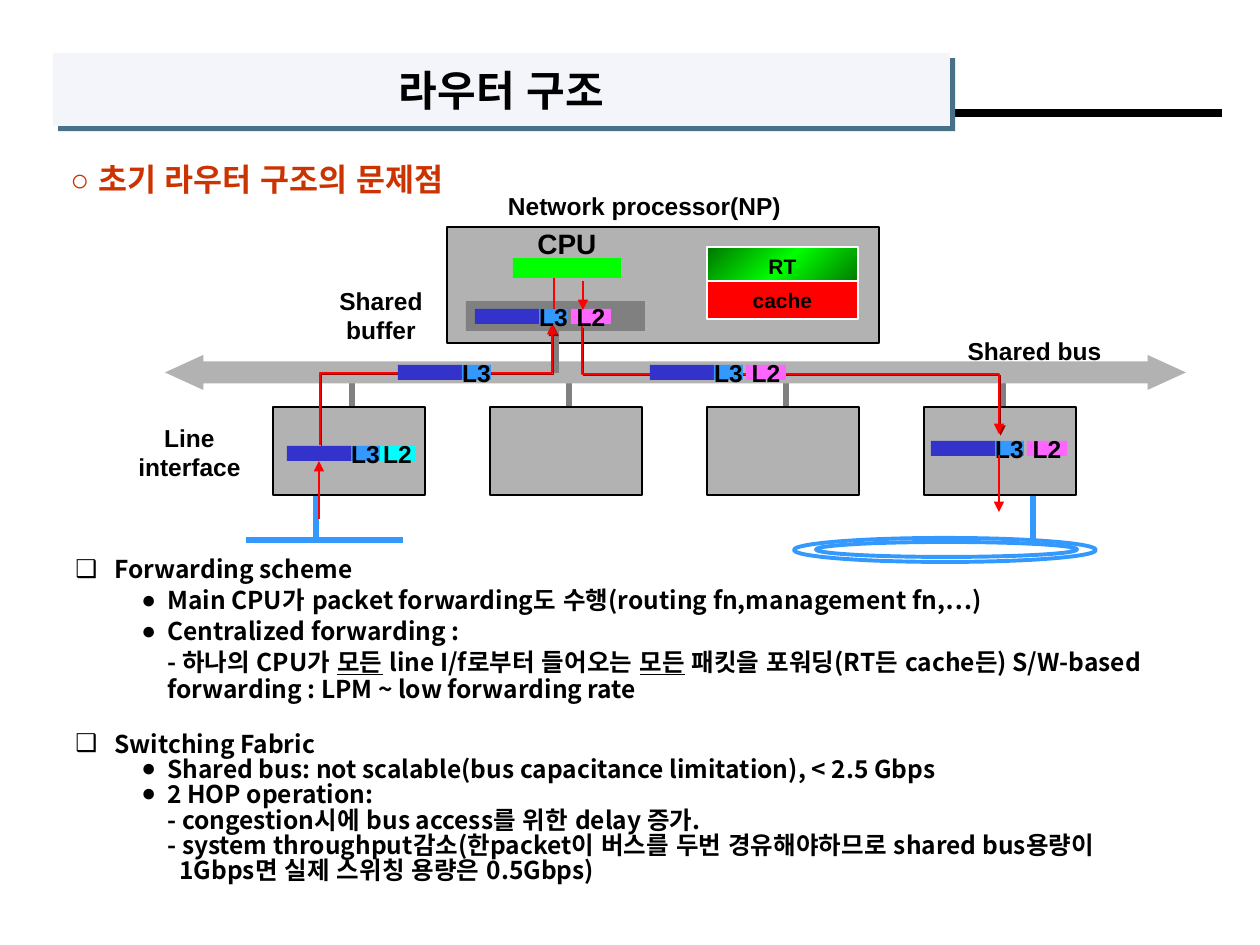
"""Build the slide on the problems of early router structures."""
from copy import deepcopy

from lxml import etree
from pptx import Presentation
from pptx import util as u
from pptx.dml.color import RGBColor
from pptx.enum import shapes, text
from pptx.oxml.ns import qn

SCALE = 914400 / 126
LATIN, KOREAN = "Arial", "Noto Sans CJK KR"
BLACK = RGBColor(0x00, 0x00, 0x00)
WHITE = RGBColor(0xFF, 0xFF, 0xFF)
PALE = RGBColor(0xF3, 0xF5, 0xFB)
RUST = RGBColor(0xCC, 0x33, 0x00)
GRAY = RGBColor(0xB2, 0xB2, 0xB2)
DARK_GRAY = RGBColor(0x80, 0x80, 0x80)
GREEN = RGBColor(0x00, 0xFF, 0x00)
DARK_GREEN = RGBColor(0x00, 0x75, 0x00)
RED = RGBColor(0xFF, 0x00, 0x00)
MAROON = RGBColor(0x98, 0x00, 0x00)
TEAL = RGBColor(0x46, 0x71, 0x86)
BLUE = RGBColor(0x33, 0x99, 0xFF)
NAVY = RGBColor(0x33, 0x33, 0xCC)
PINK = RGBColor(0xFF, 0x66, 0xFF)
CYAN = RGBColor(0x00, 0xFF, 0xFF)
RECT = shapes.MSO_SHAPE.RECTANGLE

FORWARDING = [
    ("❑", 0, ["Forwarding scheme"]),
    ("●", 92, ["Main CPU가 packet forwarding도 수행(routing fn,management fn,…)"]),
    ("●", 92, ["Centralized forwarding :"]),
    ("", 92, ["- 하나의 CPU가 ", "모든", " line I/f로부터 들어오는 ", "모든",
              " 패킷을 포워딩(RT든 cache든) S/W-based forwarding : LPM ~ low forwarding rate"]),
]
SWITCHING = [
    ("❑", 0, ["Switching Fabric"]),
    ("●", 92, ["Shared bus: not scalable(bus capacitance limitation), < 2.5 Gbps"]),
    ("●", 92, ["2 HOP operation:"]),
    ("", 92, ["- congestion시에 bus access를 위한 delay 증가."]),
    ("", 92, ["- system throughput감소(한packet이 버스를 두번 경유해야하므로 shared bus용량이"]),
    ("", 104, ["1Gbps면 실제 스위칭 용량은 0.5Gbps)"]),
]


def px(*values):
    """Turn pixel lengths into EMU."""
    return [u.Emu(round(v * SCALE)) for v in values]


def sub(parent, tag, **attrs):
    """Append a DrawingML element and return it."""
    return etree.SubElement(parent, qn(tag), {k: str(v) for k, v in attrs.items()})


def add_run(p, words, size, font=LATIN, color=BLACK, underline=None):
    """Add one bold run to a paragraph."""
    r = p.add_run()
    r.text = words
    r.font.size, r.font.bold, r.font.underline = u.Pt(size), True, underline
    r.font.color.rgb = color
    r.font.name = font
    sub(r._r.get_or_add_rPr(), "a:ea", typeface=LATIN)


def write(sp, lines, size, wrap=False, spacing=None):
    """Write centred lines in the middle of a shape."""
    tf = sp.text_frame
    tf.word_wrap = wrap
    tf.vertical_anchor = text.MSO_ANCHOR.MIDDLE
    for i, line in enumerate(lines):
        p = tf.add_paragraph() if i else tf.paragraphs[0]
        p.alignment = text.PP_ALIGN.CENTER
        p.line_spacing = spacing
        add_run(p, line, size)


def add_block(s, x, y, w, h, fill=None, line=None, weight=0.75, kind=RECT):
    """Add a preset shape with an optional fill and outline."""
    sp = s.shapes.add_shape(kind, *px(x, y, w, h))
    sp.shadow.inherit = False
    if fill is None:
        sp.fill.background()
    else:
        sp.fill.solid()
        sp.fill.fore_color.rgb = fill
    if line is None:
        sp.line.fill.background()
    else:
        sp.line.color.rgb = line
        sp.line.width = u.Pt(weight)
    return sp


def add_shadow(sp, color, distance):
    """Give a shape a sharp shadow to the lower right."""
    effects = sp._element.spPr.find(qn("a:effectLst"))
    shadow = sub(effects, "a:outerShdw", blurRad=0, dist=u.Pt(distance),
                 dir=2700000, algn="ctr", rotWithShape=0)
    sub(shadow, "a:srgbClr", val=color)


def add_label(s, x, y, w, h, lines, size=14, spacing=None):
    """Add a centred diagram label that fits its text."""
    sp = s.shapes.add_textbox(*px(x, y, w, h))
    tf = sp.text_frame
    tf.auto_size = text.MSO_AUTO_SIZE.SHAPE_TO_FIT_TEXT
    tf.margin_left = tf.margin_right = 0
    write(sp, lines, size, spacing=spacing)


def add_line(s, x1, y1, x2, y2, color, weight, arrow=False):
    """Add a straight line, with an arrowhead at its end if asked."""
    c = s.shapes.add_connector(shapes.MSO_CONNECTOR.STRAIGHT, *px(x1, y1, x2, y2))
    c.line.color.rgb = color
    c.line.width = u.Pt(weight)
    if arrow:
        sub(c.line._get_or_add_ln(), "a:tailEnd", type="triangle")
    sub(c._element.spPr, "a:effectLst")
    return c


def add_route(s, start, *points):
    """Add a bent red arrow with a shadow."""
    builder = s.shapes.build_freeform(*start, scale=SCALE)
    builder.add_line_segments(points, close=False)
    sp = builder.convert_to_shape()
    sp.shadow.inherit = False
    sp.fill.background()
    sp.line.color.rgb = RED
    sp.line.width = u.Pt(0.75)
    sub(sp.line._get_or_add_ln(), "a:tailEnd", type="triangle")
    add_shadow(sp, MAROON, 1.4)


def add_packet(s, x, y, l2=PINK, l2_dx=96, l2_w=40):
    """Add a packet with L3 and optional L2 headers; return its payload."""
    payload = add_block(s, x, y, 64, 15, NAVY)
    write(add_block(s, x + 64, y, 29, 15, BLUE), ["L3"], 14)
    if l2 is not None:
        write(add_block(s, x + l2_dx, y, l2_w, 15, l2), ["L2"], 14)
    return payload


def add_outline(s, y, h, items, spacing):
    """Add a bulleted outline; every second run is underlined."""
    tf = s.shapes.add_textbox(*px(63, y, 1134, h)).text_frame
    tf.word_wrap = True
    for i, (bullet, margin, runs) in enumerate(items):
        p = tf.add_paragraph() if i else tf.paragraphs[0]
        p.line_spacing = spacing
        p.space_before = u.Pt(2.6 if i else 0)
        p.level = 1 if margin else 0
        hang = 0 if not bullet else 26 if margin else 39
        left, indent = px(margin or hang, -hang)
        ppr = p._p.get_or_add_pPr()
        ppr.set("marL", str(left))
        ppr.set("indent", str(indent))
        if bullet:
            sub(sub(ppr, "a:buClr"), "a:srgbClr", val=BLACK)
            sub(ppr, "a:buFont", typeface=LATIN)
            sub(ppr, "a:buChar", char=bullet)
        else:
            sub(ppr, "a:buNone")
        for j, words in enumerate(runs):
            add_run(p, words, 14, KOREAN, underline=True if j % 2 else None)


def add_heading(s):
    """Add the title bar and the section heading."""
    add_line(s, 58, 113, 1222, 113, BLACK, 4.5)
    title = add_block(s, 53, 53, 897, 73, PALE)
    add_shadow(title, TEAL, 4.2)
    write(title, ["라우터 구조"], 24, wrap=True)
    tf = s.shapes.add_textbox(*px(58, 154, 411, 50)).text_frame
    tf.word_wrap = False
    tf.auto_size = text.MSO_AUTO_SIZE.SHAPE_TO_FIT_TEXT
    add_run(tf.paragraphs[0], "○ 초기 라우터 구조의 문제점", 18, KOREAN, RUST)


def add_processor(s):
    """Add the network processor with its CPU, buffer and tables."""
    add_block(s, 447, 227, 432, 116, GRAY, BLACK)
    add_block(s, 513, 258, 108, 20, GREEN)
    table = add_block(s, 707, 247, 151, 38, GREEN, WHITE)
    table.fill.gradient()
    table.fill.gradient_angle = 315
    for stop in table.fill.gradient_stops:
        stop.color.rgb = DARK_GREEN
    stops = table._element.spPr.find(".//" + qn("a:gsLst"))
    middle = deepcopy(stops[0])
    middle.set("pos", "50000")
    stops.insert(1, middle)
    table.fill.gradient_stops[1].color.rgb = GREEN
    write(table, ["RT"], 12, wrap=True)
    write(add_block(s, 707, 281, 151, 38, RED, WHITE), ["cache"], 12, wrap=True)
    add_label(s, 525, 229, 84, 37, ["CPU"], 16, 0.7)
    add_line(s, 556, 309, 556, 373, DARK_GRAY, 3)
    add_block(s, 466, 301, 179, 30, DARK_GRAY)


def add_bus(s):
    """Add the shared bus, the line interfaces and the networks."""
    for x in (316, 1033):
        add_line(s, x, 477, x, 540, BLUE, 3)
    ports = [273 + 217 * i for i in range(4)]
    for x in ports:
        add_line(s, x + 79, 373, x + 79, 436, DARK_GRAY, 3)
    bus = add_block(s, 165, 355, 1021, 35, GRAY, kind=shapes.MSO_SHAPE.LEFT_RIGHT_ARROW)
    bus.adjustments[0], bus.adjustments[1] = 0.625, 1.096
    for x in ports:
        add_block(s, x, 407, 152, 88, GRAY, BLACK)
    add_line(s, 246, 540, 403, 540, BLUE, 3)
    for box in ((816, 542, 261, 15), (794, 538, 302, 24)):
        add_block(s, *box, line=BLUE, weight=2.25, kind=shapes.MSO_SHAPE.OVAL)


def add_flow(s):
    """Add the packets and the route that they take."""
    add_route(s, (320, 445), (320, 373), (552, 373), (552, 324))
    add_route(s, (582, 326), (582, 374), (999, 374), (999, 434))
    arrival = add_packet(s, 287, 446, CYAN, 93, 35)
    for x, y in ((475, 309), (931, 441), (650, 365)):
        add_packet(s, x, y)
    add_packet(s, 398, 365, None)
    add_line(s, 319, 519, 319, 461, RED, 0.75, True).end_connect(arrival, 2)
    add_line(s, 554, 309, 554, 278, RED, 0.75)
    add_line(s, 583, 281, 583, 310, RED, 0.75, True)
    add_line(s, 999, 455, 999, 512, RED, 0.75, True)


def main():
    """Build and save the slide."""
    prs = Presentation()
    prs.slide_width, prs.slide_height = px(1260, 945)
    s = prs.slides.add_slide(prs.slide_layouts[6])
    add_heading(s)
    add_outline(s, 551, 180, FORWARDING, 0.9)
    add_bus(s)
    add_processor(s)
    add_flow(s)
    add_label(s, 327, 279, 108, 72, ["Shared", "buffer"])
    add_label(s, 126, 416, 127, 72, ["Line", "interface"])
    add_label(s, 955, 329, 159, 43, ["Shared bus"])
    add_label(s, 496, 184, 297, 43, ["Network processor(NP)"])
    add_outline(s, 731, 179, SWITCHING, 0.7)
    prs.save("out.pptx")


if __name__ == "__main__":
    main()
